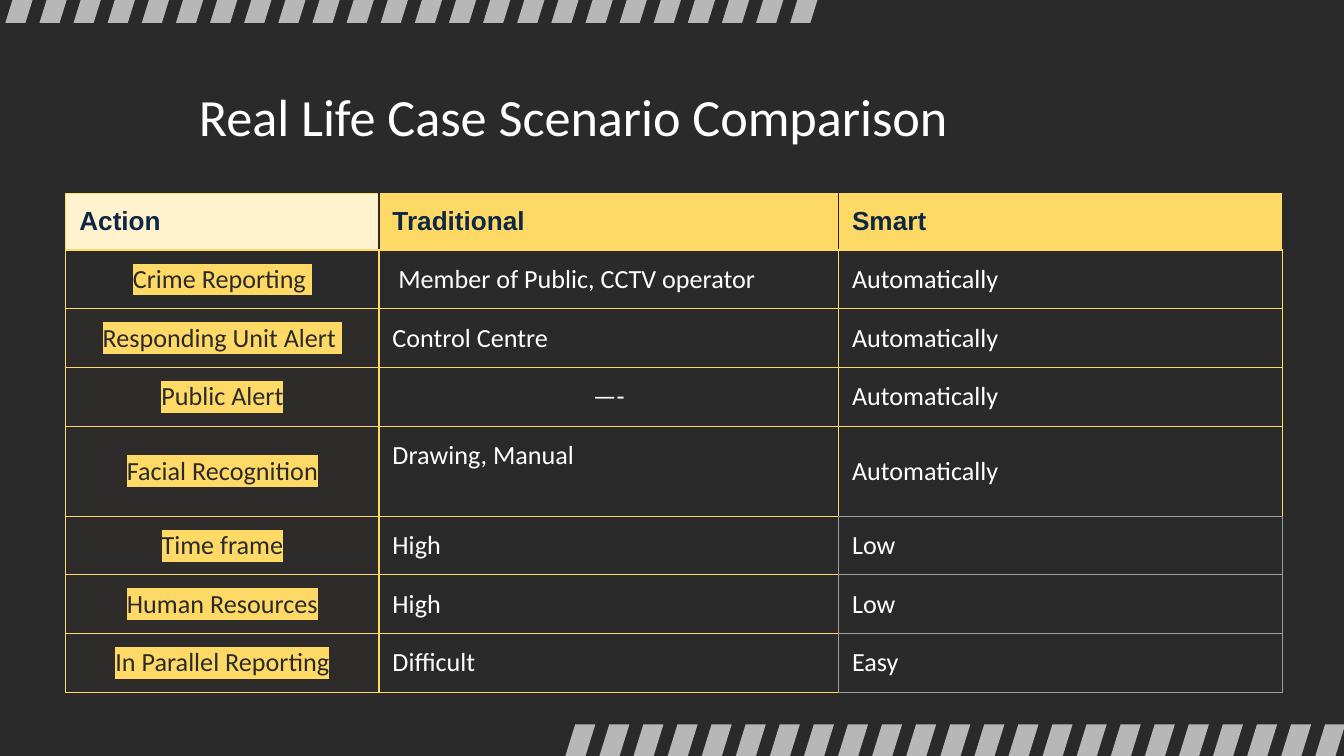
import pptx
import pptx.util
import pptx.dml.color
import pptx.enum.text
import pptx.oxml
import pptx.oxml.ns
from lxml import etree

Inches, Pt = pptx.util.Inches, pptx.util.Pt
ALIGN = pptx.enum.text.PP_ALIGN
ANCHOR = pptx.enum.text.MSO_ANCHOR
qn = pptx.oxml.ns.qn

HEX = {
    "dark": "2A2A2A", "label": "2D2C2B", "stripe": "B7B7B7",
    "gold": "FFD966", "cream": "FFF2CC", "navy": "0E2746",
    "white": "FFFFFF", "gray": "9E9E9E",
}
HEAD = ["Action", "Traditional", "Smart"]
ROWS = [
    ["Crime Reporting ", " Member of Public, CCTV operator", "Automatically"],
    ["Responding Unit Alert ", "Control Centre", "Automatically"],
    ["Public Alert", "—-", "Automatically"],
    ["Facial Recognition", "Drawing, Manual", "Automatically"],
    ["Time frame", "High", "Low"],
    ["Human Resources", "High", "Low"],
    ["In Parallel Reporting", "Difficult", "Easy"],
]
COLS = [2.33, 3.42, 3.3]
TALL = 4    # the taller row
GRAY = 5    # first row with gray edges in the last column


def rgb(name):
    return pptx.dml.color.RGBColor.from_string(HEX[name])


def add_run(para, text, size, font, color, bold=False, mark=None):
    run = para.add_run()
    run.text = text
    run.font.size = Pt(size)
    run.font.name = font
    run.font.bold = bold
    run.font.color.rgb = rgb(color)
    if mark:
        glow = etree.Element(qn("a:highlight"))
        etree.SubElement(glow, qn("a:srgbClr"), val=HEX[mark])
        run.font.fill._xPr.find(qn("a:solidFill")).addnext(glow)


def set_edges(cell, edges):
    props = cell._tc.get_or_add_tcPr()
    for side in "LRTB":
        line = etree.SubElement(props, qn("a:ln" + side), w=str(Pt(0.75)))
        fill = etree.SubElement(line, qn("a:solidFill"))
        etree.SubElement(fill, qn("a:srgbClr"), val=HEX[edges[side]])


def pick_edges(row, col):
    edges = dict.fromkeys("LRTB", "gold")
    if row == 0:
        edges["R"] = "dark"
        if col > 0:
            edges["L"] = "dark"
    elif row >= GRAY and col == 2:
        edges = dict.fromkeys("LRTB", "gray")
    elif row >= GRAY and col == 1:
        edges["R"] = "gray"
    elif row == GRAY - 1 and col == 2:
        edges["B"] = "gray"
    return edges


def add_stripes(slide, left, top, last, count):
    """Row of slanted bars, from left to the start of the last one."""
    wide, high, bar = 0.33, 0.58, 0.15
    step = (last - left) / (count - 1)
    group = slide.shapes.add_group_shape()
    for i in range(count):
        x = left + i * step
        pen = group.shapes.build_freeform(
            Inches(x + wide), Inches(top), scale=1.0)
        pen.add_line_segments([
            (Inches(x + wide - bar), Inches(top)),
            (Inches(x), Inches(top + high)),
            (Inches(x + bar), Inches(top + high)),
        ], close=True)
        shape = pen.convert_to_shape()
        shape.shadow.inherit = False
        shape.fill.solid()
        shape.fill.fore_color.rgb = rgb("stripe")
        shape.line.fill.background()


def add_title(slide, left, top, wide, high):
    title = slide.shapes.title
    title.left, title.top = Inches(left), Inches(top)
    title.width, title.height = Inches(wide), Inches(high)
    frame = title.text_frame
    frame.word_wrap = True
    frame.auto_size = pptx.enum.text.MSO_AUTO_SIZE.NONE
    frame.vertical_anchor = ANCHOR.MIDDLE
    frame.margin_left = frame.margin_right = Inches(0.1)
    frame.margin_top = frame.margin_bottom = Inches(0.1)
    para = frame.paragraphs[0]
    para.alignment = ALIGN.LEFT
    add_run(para, "Real Life Case Scenario Comparison", 28, "Calibri", "white")


def fill_cell(cell, text, row, col):
    cell.margin_left = cell.margin_right = Inches(0.1)
    cell.margin_top = cell.margin_bottom = Inches(0.1)
    top = (row, col) == (TALL, 1)
    cell.vertical_anchor = ANCHOR.TOP if top else ANCHOR.MIDDLE
    set_edges(cell, pick_edges(row, col))

    # Background
    if row == 0:
        back = "gold" if col else "cream"
    elif col == 0:
        back = "dark" if row == 1 else "label"
    else:
        back = None
    if back:
        cell.fill.solid()
        cell.fill.fore_color.rgb = rgb(back)
    else:
        cell.fill.background()

    # Text
    para = cell.text_frame.paragraphs[0]
    mid = row > 0 and (col == 0 or text == "—-")
    para.alignment = ALIGN.CENTER if mid else ALIGN.LEFT
    if row == 0:
        add_run(para, text, 14, "Arial", "navy", bold=True)
    elif col == 0:
        add_run(para, text, 14, "Calibri", "dark", mark="gold")
    else:
        add_run(para, text, 14, "Calibri", "white")


def add_grid(slide, left, top):
    data = [HEAD] + ROWS
    highs = [0.67 if i == TALL else 0.42 for i in range(len(data))]
    table = slide.shapes.add_table(
        len(data), len(COLS), Inches(left), Inches(top),
        Inches(sum(COLS)), Inches(sum(highs))).table
    table.first_row = table.horz_banding = False
    for col, wide in enumerate(COLS):
        table.columns[col].width = Inches(wide)
    for row, texts in enumerate(data):
        table.rows[row].height = Inches(highs[row])
        for col, text in enumerate(texts):
            fill_cell(table.cell(row, col), text, row, col)


def main():
    deck = pptx.Presentation()
    deck.slide_width = Inches(10)
    deck.slide_height = deck.slide_width * 9 // 16
    slide = deck.slides.add_slide(deck.slide_layouts[5])
    slide.background.fill.solid()
    slide.background.fill.fore_color.rgb = rgb("dark")

    # Bands along the top and bottom edges
    add_stripes(slide, 0.04, -0.41, 5.88, 24)
    add_stripes(slide, 4.1, 5.39, 9.68, 23)

    # Heading and comparison table
    add_title(slide, 1.38, 0.59, 7.61, 0.54)
    add_grid(slide, 0.49, 1.44)
    deck.save("out.pptx")


if __name__ == "__main__":
    main()
